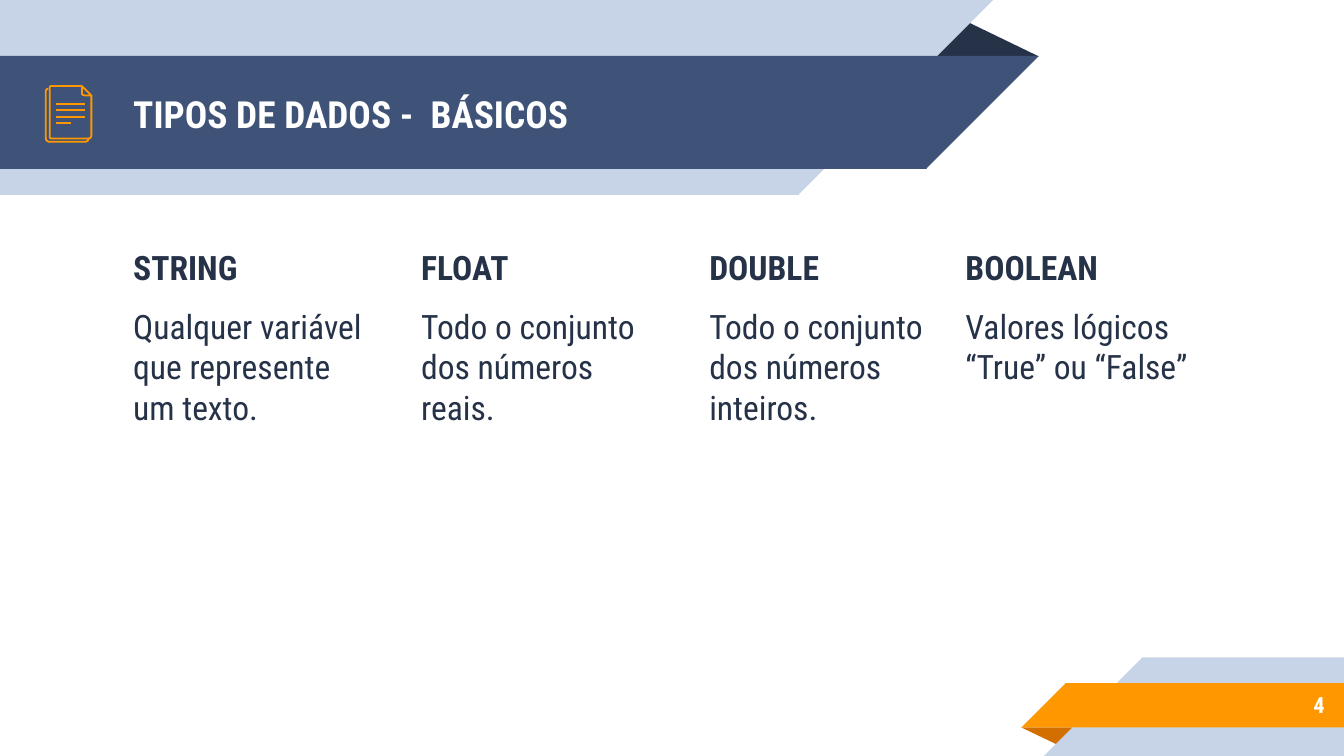
from dataclasses import dataclass
from typing import NamedTuple

from lxml import etree
from pptx import Presentation
from pptx.dml.color import RGBColor
from pptx.enum.shapes import MSO_CONNECTOR, MSO_SHAPE
from pptx.enum.text import MSO_ANCHOR, PP_ALIGN
from pptx.oxml.ns import qn
from pptx.util import Inches, Pt

RECT = MSO_SHAPE.RECTANGLE
CORNER = MSO_SHAPE.RIGHT_TRIANGLE
PEAK = MSO_SHAPE.ISOSCELES_TRIANGLE
STRAIGHT = MSO_CONNECTOR.STRAIGHT
TOP, MIDDLE = MSO_ANCHOR.TOP, MSO_ANCHOR.MIDDLE
LEFT, RIGHT = PP_ALIGN.LEFT, PP_ALIGN.RIGHT

WIDTH = Inches(10)
HEIGHT = WIDTH * 9 // 16
CELL = WIDTH / 100


@dataclass(frozen=True)
class Theme:
    """Colours, font and type sizes of the slide."""
    ink: str = "263248"
    navy: str = "3F5378"
    pale: str = "C7D3E6"
    orange: str = "FF9800"
    rust: str = "D26F00"
    white: str = "FFFFFF"
    font: str = "Roboto Condensed"
    title: int = 20
    body: int = 18
    small: int = 12
    stroke: float = 0.96


class Box(NamedTuple):
    """A place on the slide, in grid cells."""
    left: float
    top: float
    width: float
    height: float


class Part(NamedTuple):
    """One filled shape of a ribbon."""
    kind: int
    box: Box
    fill: str
    turn: int = 0


class Note(NamedTuple):
    """A data type and what it means."""
    left: float
    head: str
    text: str


THEME = Theme()

PARTS = [
    Part(PEAK, Box(68.8, 1.4, 8.5, 2.8), THEME.ink),
    Part(RECT, Box(0, 0, 59.45, 14.5), THEME.pale),
    Part(CORNER, Box(59.4, 0, 14.5, 14.5), THEME.pale, 90),
    Part(RECT, Box(0, 4.17, 68.95, 8.4), THEME.navy),
    Part(CORNER, Box(68.9, 4.17, 8.4, 8.4), THEME.navy, 90),
    Part(PEAK, Box(76, 54.13, 4.3, 1.4), THEME.rust, 180),
    Part(RECT, Box(84.95, 48.92, 15.05, 7.33), THEME.pale),
    Part(CORNER, Box(77.67, 48.92, 7.33, 7.33), THEME.pale, 270),
    Part(RECT, Box(79.25, 50.83, 20.75, 3.3), THEME.orange),
    Part(CORNER, Box(76, 50.83, 3.3, 3.3), THEME.orange, 270),
]

STEP = 21.43
NOTES = [
    Note(8.93, "STRING", "Qualquer variável que represente um texto."),
    Note(8.93 + STEP, "FLOAT", "Todo o conjunto dos números reais."),
    Note(8.93 + 2 * STEP, "DOUBLE", "Todo o conjunto dos números inteiros."),
    Note(70.85, "BOOLEAN", "Valores lógicos “True” ou “False”"),
]

BACK = [(6.6, 10.3), (6.55, 10.45), (6.4, 10.55), (3.6, 10.55), (3.45, 10.45),
        (3.4, 10.3), (3.4, 6.8), (3.45, 6.65), (3.6, 6.6)]
PAGE = [(6.8, 7.1), (6.8, 10.1), (6.75, 10.25), (6.6, 10.3), (3.8, 10.3),
        (3.7, 10.25), (3.7, 10.1), (3.7, 6.6), (3.7, 6.45), (3.8, 6.4), (6.1, 6.4)]
FOLD = [(6.1, 7), (6.1, 6.4), (6.8, 7.1), (6.3, 7.1), (6.15, 7.05)]
RULES = [(6.3, 7.75), (6.3, 8.2), (6.3, 8.7), (5.3, 9.15)]


def span(cells: float) -> int:
    """Turn grid cells into a length."""
    return round(cells * CELL)


def tint(code: str) -> RGBColor:
    """Read a colour code."""
    return RGBColor.from_string(code)


def pen(line) -> None:
    """Set the icon's stroke."""
    line.color.rgb = tint(THEME.orange)
    line.width = Pt(THEME.stroke)


def block(slide, part: Part) -> None:
    """Draw one filled ribbon part."""
    shape = slide.shapes.add_shape(part.kind, *map(span, part.box))
    shape.shadow.inherit = False
    shape.fill.solid()
    shape.fill.fore_color.rgb = tint(part.fill)
    shape.line.fill.background()
    shape.rotation = part.turn
    if part.kind == PEAK:
        shape.adjustments[0] = 0.32


def trace(slide, dots: list[tuple[float, float]], close: bool = False) -> None:
    """Draw an outline of the icon."""
    path = [(span(x), span(y)) for x, y in dots]
    form = slide.shapes.build_freeform(*path[0])
    form.add_line_segments(path[1:], close=close)
    shape = form.convert_to_shape()
    shape.shadow.inherit = False
    shape.fill.background()
    pen(shape.line)


def rule(slide, end: float, top: float) -> None:
    """Draw one text line of the icon."""
    line = slide.shapes.add_connector(
        STRAIGHT, span(end), span(top), span(4.2), span(top))
    pen(line.line)
    etree.SubElement(line._element.spPr, qn("a:effectLst"))


def write(slide, box: Box, *texts: str, size: int, color: str,
          anchor: int = TOP, align: int = LEFT) -> None:
    """Write a bold head and any plain paragraphs after it."""
    frame = slide.shapes.add_textbox(*map(span, box)).text_frame
    frame.word_wrap = True
    frame.vertical_anchor = anchor
    frame.margin_left = frame.margin_right = span(1)
    frame.margin_top = frame.margin_bottom = span(1)
    for rank, text in enumerate(texts):
        para = frame.add_paragraph() if rank else frame.paragraphs[0]
        para.alignment = align
        if rank:
            para.space_before = Pt(10)
        run = para.add_run()
        run.text = text
        run.font.name = THEME.font
        run.font.size = Pt(size)
        run.font.bold = rank == 0
        run.font.color.rgb = tint(color)


def main() -> None:
    """Build and save the slide."""
    deck = Presentation()
    deck.slide_width, deck.slide_height = WIDTH, HEIGHT
    slide = deck.slides.add_slide(deck.slide_layouts[6])
    for part in PARTS:
        block(slide, part)
    write(slide, Box(8.93, 4.25, 57.5, 8.4), "TIPOS DE DADOS -  BÁSICOS",
          size=THEME.title, color=THEME.white, anchor=MIDDLE)
    for note in NOTES:
        write(slide, Box(note.left, 17.37, 20, 26.7), note.head, note.text,
              size=THEME.body, color=THEME.ink)
    write(slide, Box(83.25, 50.7, 16.3, 3.5), "4", size=THEME.small,
          color=THEME.white, anchor=MIDDLE, align=RIGHT)
    trace(slide, BACK)
    trace(slide, PAGE)
    trace(slide, FOLD, close=True)
    for end, top in RULES:
        rule(slide, end, top)
    deck.save("out.pptx")


if __name__ == "__main__":
    main()
